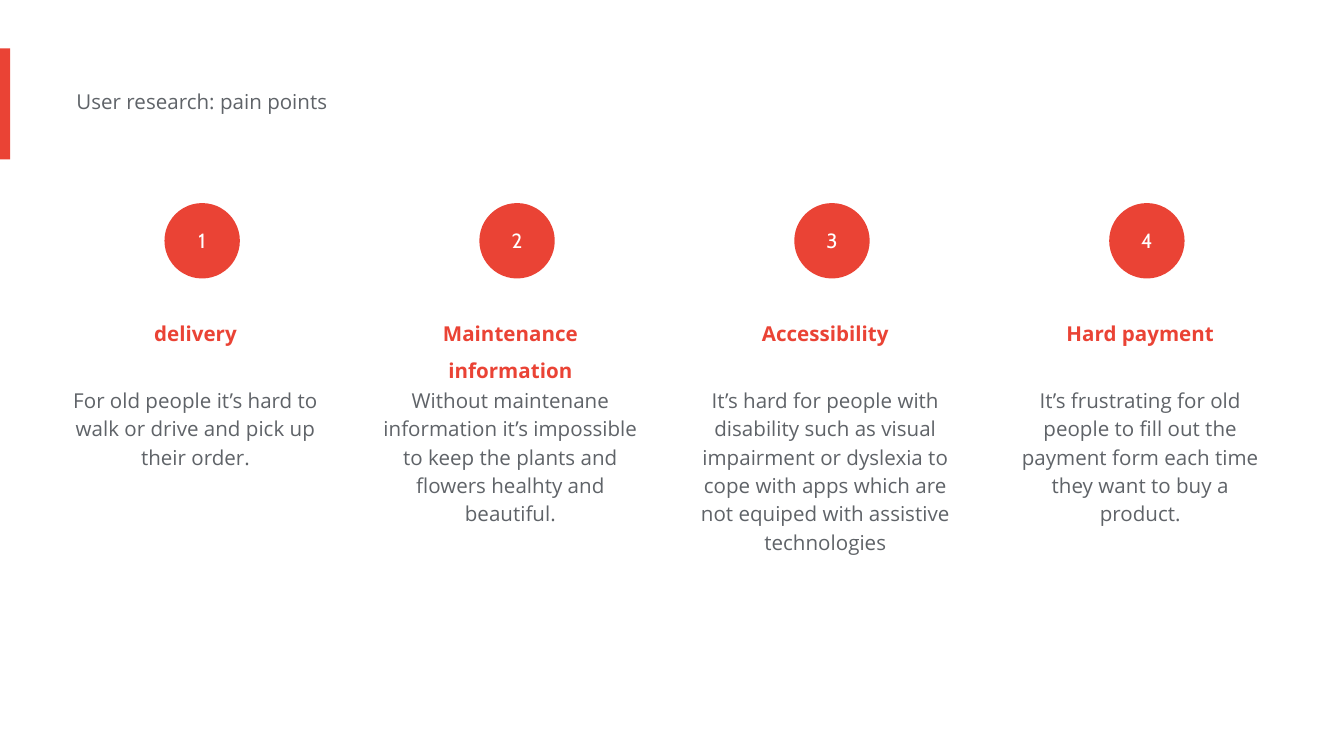
from pptx import Presentation
from pptx.dml.color import RGBColor
from pptx.enum.shapes import MSO_SHAPE
from pptx.enum.text import MSO_ANCHOR, PP_ALIGN
from pptx.util import Pt

RED = RGBColor(0xEA, 0x43, 0x35)
GRAY = RGBColor(0x5F, 0x63, 0x68)
WHITE = RGBColor(0xFF, 0xFF, 0xFF)

COLUMN_LEFT = 34.5
COLUMN_WIDTH = 147.6
COLUMN_PITCH = 168.7
CIRCLE_SIZE = 40.4

PAIN_POINTS = [
    ("delivery", "For old people it’s hard to walk or drive and pick up their order.", 60.5),
    ("Maintenance information",
     "Without maintenane information it’s impossible to keep the plants and "
     "flowers healhty and beautiful.", 91.4),
    ("Accessibility",
     "It’s hard for people with disability such as visual impairment or dyslexia "
     "to cope with apps which are not equiped with assistive technologies", 106.6),
    ("Hard payment",
     "It’s frustrating for old people to fill out the payment form each time "
     "they want to buy a product.", 91.4),
]

presentation = Presentation()
presentation.slide_width = Pt(720)
presentation.slide_height = Pt(405)
slide = presentation.slides.add_slide(presentation.slide_layouts[6])


def add_filled_shape(kind, left, top, width, height):
    shape = slide.shapes.add_shape(kind, Pt(left), Pt(top), Pt(width), Pt(height))
    shape.shadow.inherit = False
    shape.fill.solid()
    shape.fill.fore_color.rgb = RED
    shape.line.fill.background()
    return shape


def write_text(shape, text, color, inset=7.2, font="Open Sans", bold=False,
               align=PP_ALIGN.CENTER, spacing=None):
    """Fill a shape with one 11 pt paragraph; the left inset is always zero."""
    frame = shape.text_frame
    frame.word_wrap = True
    frame.margin_left = 0
    frame.margin_top = frame.margin_right = frame.margin_bottom = Pt(inset)
    paragraph = frame.paragraphs[0]
    paragraph.alignment = align
    paragraph.line_spacing = spacing
    run = paragraph.add_run()
    run.text = text
    run.font.name = font
    run.font.size = Pt(11)
    run.font.bold = bold
    run.font.color.rgb = color


add_filled_shape(MSO_SHAPE.RECTANGLE, 0, 26, 5.5, 59.4)

title = slide.shapes.add_textbox(Pt(41), Pt(41), Pt(484.6), Pt(28))
write_text(title, "User research: pain points", GRAY, align=PP_ALIGN.LEFT)

for index, (heading, description, height) in enumerate(PAIN_POINTS):
    left = COLUMN_LEFT + index * COLUMN_PITCH

    heading_box = slide.shapes.add_textbox(Pt(left), Pt(158.4), Pt(COLUMN_WIDTH), Pt(34.6))
    write_text(heading_box, heading, RED, bold=True, spacing=1.5)

    description_box = slide.shapes.add_textbox(Pt(left), Pt(198.7), Pt(COLUMN_WIDTH), Pt(height))
    write_text(description_box, description, GRAY, spacing=1.15)

    circle_left = left + (COLUMN_WIDTH - CIRCLE_SIZE) / 2
    circle = add_filled_shape(MSO_SHAPE.OVAL, circle_left, 108.8, CIRCLE_SIZE, CIRCLE_SIZE)
    circle.text_frame.vertical_anchor = MSO_ANCHOR.MIDDLE
    write_text(circle, str(index + 1), WHITE, inset=0, font="Cabin")

presentation.save("out.pptx")
